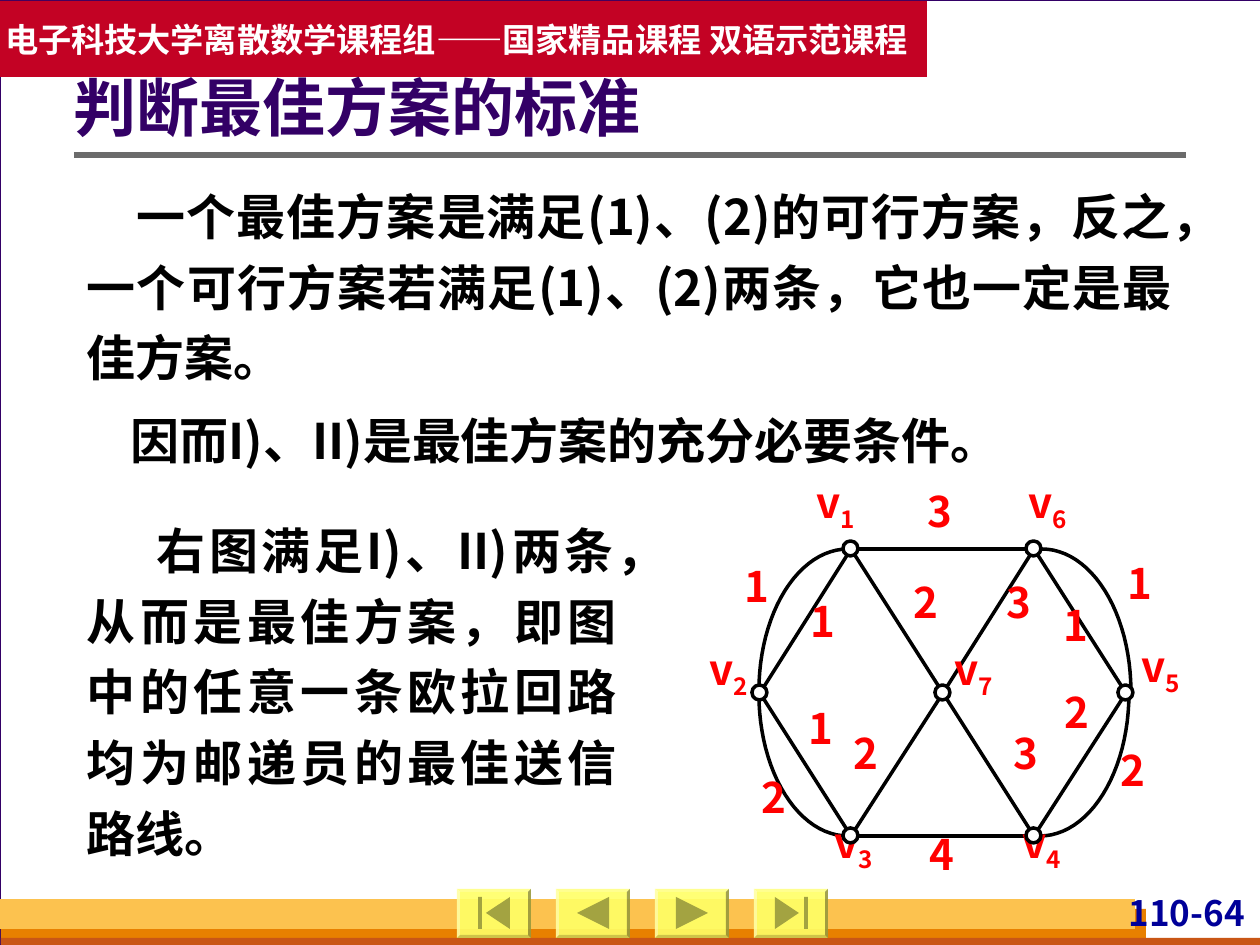
from math import cos, pi, sin

from lxml.etree import SubElement
from pptx import Presentation
from pptx.dml.color import RGBColor
from pptx.enum.shapes import MSO_CONNECTOR, MSO_SHAPE
from pptx.enum.text import MSO_ANCHOR, PP_ALIGN
from pptx.oxml.ns import qn
from pptx.util import Emu, Pt

FONT = "Noto Sans CJK SC"
WHITE = RGBColor(0xFF, 0xFF, 0xFF)
BLACK = RGBColor(0x00, 0x00, 0x00)
RED = RGBColor(0xFF, 0x00, 0x00)
GREY = RGBColor(0x6B, 0x6B, 0x6B)
PALE = RGBColor(0xD8, 0xDA, 0xDA)
PURPLE = RGBColor(0x33, 0x00, 0x66)
CRIMSON = RGBColor(0xC3, 0x02, 0x24)
NAVY = RGBColor(0x00, 0x00, 0x99)
ORANGE = RGBColor(0xE8, 0x80, 0x00)
RUST = RGBColor(0xC9, 0x56, 0x16)
AMBER = RGBColor(0xFC, 0xC2, 0x4F)
YELLOW = RGBColor(0xFF, 0xFF, 0x66)
OLIVE = RGBColor(0xA3, 0xA3, 0x41)

NODES = {1: (152, 73), 2: (61, 217), 3: (152, 360), 4: (335, 360),
         5: (427, 217), 6: (335, 73), 7: (244, 217)}
NODE_LABELS = {1: (107, 0), 2: (0, 167), 3: (125, 340), 4: (313, 340),
               5: (432, 164), 6: (319, 0), 7: (245, 167)}
# Two nodes, weight, place of the weight
EDGES = [(1, 6, "3", (226, 10)), (3, 4, "4", (228, 353)),
         (1, 2, "1", (109, 120)), (2, 3, "1", (107, 227)),
         (6, 5, "1", (362, 124)), (5, 4, "2", (363, 211)),
         (1, 7, "2", (212, 101)), (6, 7, "3", (305, 101)),
         (7, 3, "2", (152, 252)), (7, 4, "3", (312, 252))]
# Start, horizontal and vertical reach, weight, place of the weight
ARCS = [((149, 73), -89, 142, "1", (43, 85)), ((149, 360), -89, -142, "2", (60, 296)),
        ((343, 73), 89, 142, "1", (426, 82)), ((341, 360), 89, -142, "2", (419, 269))]


def px(length):
    return Emu(round(length * 914400 / 126))


def paint(shape, fill=None, line=None, width=2):
    shape.shadow.inherit = False
    if fill is None:
        shape.fill.background()
    else:
        shape.fill.solid()
        shape.fill.fore_color.rgb = fill
    if line is None:
        shape.line.fill.background()
    else:
        shape.line.color.rgb = line
        shape.line.width = Pt(width)


def add_preset(shapes, kind, box, fill, line=None, width=2):
    shape = shapes.add_shape(kind, *map(px, box))
    paint(shape, fill, line, width)
    return shape


def add_line(shapes, start, end, colour, width):
    line = shapes.add_connector(MSO_CONNECTOR.STRAIGHT, *map(px, (*start, *end)))
    line.line.color.rgb = colour
    line.line.width = Pt(width)
    SubElement(line._element.spPr, qn("a:effectLst"))


def add_outline(shapes, points, closed, fill=None, line=None):
    scaled = [(px(x), px(y)) for x, y in points]
    builder = shapes.build_freeform(*scaled[0])
    builder.add_line_segments(scaled[1:], close=closed)
    paint(builder.convert_to_shape(), fill, line)


def style(paragraph, size, colour, align=PP_ALIGN.LEFT):
    paragraph.alignment = align
    font = paragraph.font
    font.size = Pt(size)
    font.bold = True
    font.color.rgb = colour
    font.name = FONT
    east_asian = SubElement(font._element, qn("a:ea"))
    east_asian.set("typeface", FONT)


def set_frame(shape, insets=(0, 0, 0, 0), anchor=MSO_ANCHOR.TOP):
    frame = shape.text_frame
    frame.word_wrap = True
    frame.vertical_anchor = anchor
    (frame.margin_left, frame.margin_top,
     frame.margin_right, frame.margin_bottom) = map(px, insets)
    return frame


def add_label(shapes, box, text, subscript=""):
    paragraph = set_frame(shapes.add_textbox(*map(px, box))).paragraphs[0]
    style(paragraph, 24, RED, PP_ALIGN.CENTER)
    paragraph.add_run().text = text
    if subscript:
        index = paragraph.add_run()
        index.text = subscript
        index._r.get_or_add_rPr().set("baseline", "-25000")


def add_prose(slide, box, entries):
    """Justified paragraphs, each given as text and first-line indent."""
    frame = set_frame(slide.shapes.add_textbox(*map(px, box)), (13, 6, 13, 6))
    for number, (text, indent) in enumerate(entries):
        paragraph = frame.add_paragraph() if number else frame.paragraphs[0]
        paragraph.text = text
        paragraph.line_spacing = 1.2
        if number:
            paragraph.space_before = Pt(7)
        paragraph._p.get_or_add_pPr().set("indent", str(px(indent)))
        style(paragraph, 28, BLACK, PP_ALIGN.JUSTIFY)


def add_header(slide, left, top):
    banner = add_preset(slide.shapes, MSO_SHAPE.RECTANGLE, (left, top, 927, 76), CRIMSON)
    course = set_frame(banner, (5, 6, 5, 6), MSO_ANCHOR.MIDDLE).paragraphs[0]
    course.text = "电子科技大学离散数学课程组——国家精品课程 双语示范课程"
    style(course, 19, WHITE)

    title_box = slide.shapes.add_textbox(*map(px, (left + 74, top + 47, 1111, 127)))
    title = set_frame(title_box, (0, 6, 13, 6), MSO_ANCHOR.MIDDLE).paragraphs[0]
    title.text = "判断最佳方案的标准"
    title.line_spacing = 0.9
    style(title, 36, PURPLE)
    add_line(slide.shapes, (left + 74, top + 154), (left + 1186, top + 154), GREY, 3)


def add_button(slide, left, top, forward, bar):
    """Bevelled button with a triangle and, for first and last, a bar."""
    face = add_preset(slide.shapes, MSO_SHAPE.BEVEL, (left, top, 74, 49), YELLOW)
    face.adjustments[0] = 0.06
    alpha = SubElement(face.fill._xPr.find(".//" + qn("a:srgbClr")), qn("a:alpha"))
    alpha.set("val", "90000")
    tip, base = (53, 21) if forward else (21, 53)
    if bar:
        tip = 45 if forward else 29
        bar_left = 50 if forward else 21
        add_preset(slide.shapes, MSO_SHAPE.RECTANGLE,
                   (left + bar_left, top + 8, 4, 32), OLIVE)
    triangle = [(left + tip, top + 24), (left + base, top + 8), (left + base, top + 40)]
    add_outline(slide.shapes, triangle, True, OLIVE)


def add_footer(slide, left, top):
    for box, colour in (((left + 1, top + 20, 1145, 35), ORANGE),
                        ((left + 1, top + 49, 1260, 10), RUST),
                        ((left, top + 10, 1135, 30), AMBER)):
        add_preset(slide.shapes, MSO_SHAPE.RECTANGLE, box, colour)
    number_box = slide.shapes.add_textbox(*map(px, (left + 1096, top + 3, 154, 48)))
    number = set_frame(number_box, (5, 0, 5, 0)).paragraphs[0]
    number.text = "110-64"
    style(number, 20, NAVY, PP_ALIGN.RIGHT)
    buttons = [(False, True), (False, False), (True, False), (True, True)]
    for place, (forward, bar) in enumerate(buttons):
        add_button(slide, left + 457 + 99 * place, top, forward, bar)


def add_graph(slide, left, top):
    shapes = slide.shapes.add_group_shape().shapes

    def at(point):
        return left + point[0], top + point[1]

    for start, end, _, _ in EDGES:
        add_line(shapes, at(NODES[start]), at(NODES[end]), BLACK, 2)
    for start, across, down, _, _ in ARCS:
        x, y = at(start)
        turns = [step * pi / 48 for step in range(25)]
        curve = [(x + across * sin(turn), y + down * (1 - cos(turn))) for turn in turns]
        add_outline(shapes, curve, False, line=BLACK)
    for *_, weight, place in EDGES + ARCS:
        add_label(shapes, (*at(place), 30, 50), weight)
    for node, place in NODE_LABELS.items():
        add_label(shapes, (*at(place), 59, 58), "v", str(node))
    for x, y in map(at, NODES.values()):
        add_preset(shapes, MSO_SHAPE.OVAL, (x - 8, y - 8, 15, 15), WHITE, BLACK)


def main():
    deck = Presentation()
    deck.slide_width, deck.slide_height = px(1260), px(945)
    slide = deck.slides.add_slide(deck.slide_layouts[6])
    slide.background.fill.solid()
    slide.background.fill.fore_color.rgb = PALE
    add_preset(slide.shapes, MSO_SHAPE.RECTANGLE, (0, 0, 1261, 945), WHITE, PURPLE, 0.75)
    add_footer(slide, 0, 889)
    add_header(slide, 0, 1)
    add_prose(slide, (74, 169, 1111, 307), [
        ("一个最佳方案是满足(1)、(2)的可行方案，反之，一个可行方案若满足(1)、(2)两条，它也一定是最佳方案。", 50),
        ("因而I)、II)是最佳方案的充分必要条件。", 44)])
    add_prose(slide, (74, 503, 556, 365), [
        ("右图满足I)、II)两条，从而是最佳方案，即图中的任意一条欧拉回路均为邮递员的最佳送信路线。", 70)])
    add_graph(slide, 699, 476)
    deck.save("out.pptx")


if __name__ == "__main__":
    main()
